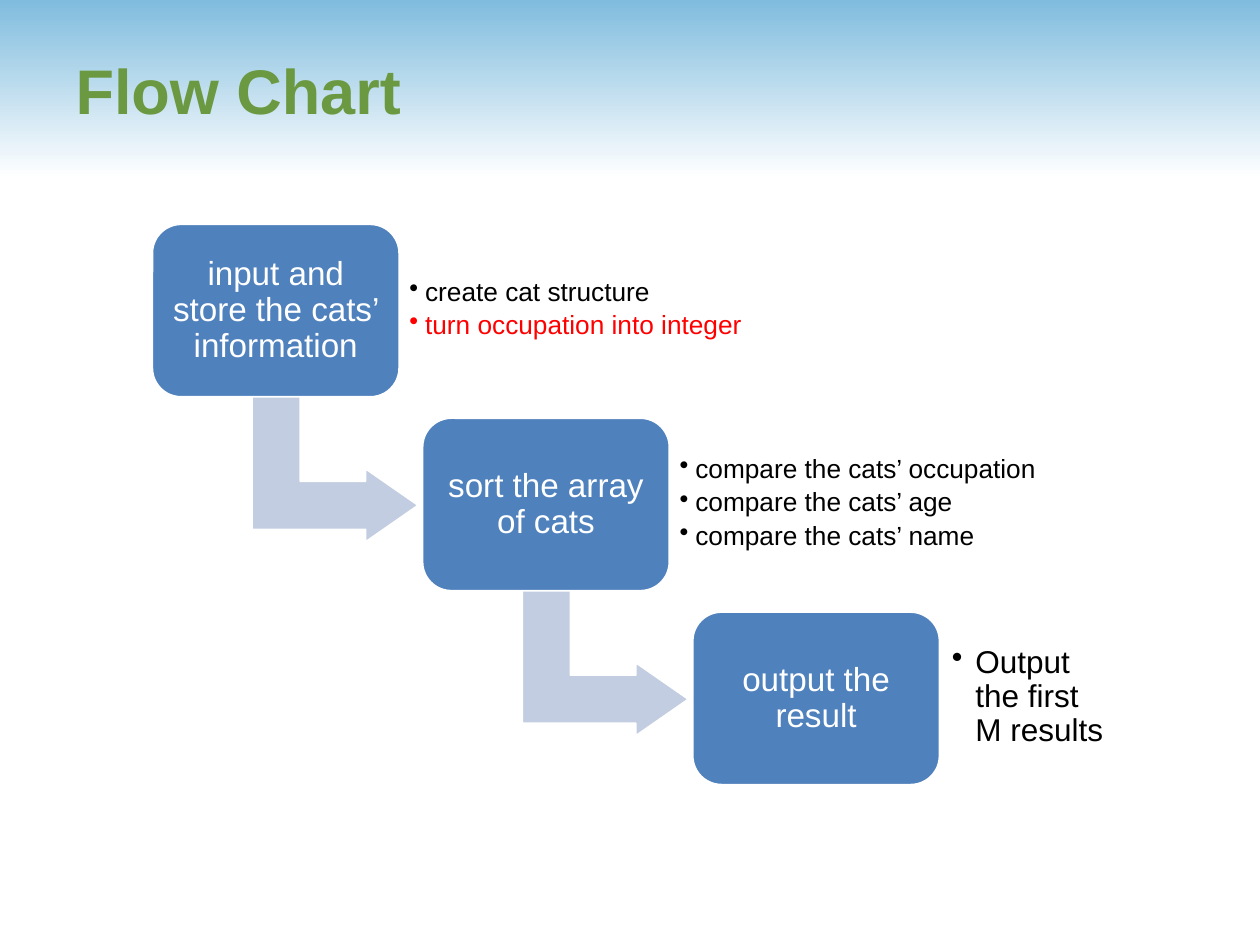
from lxml import etree
from pptx import Presentation
from pptx.dml.color import RGBColor
from pptx.enum.shapes import MSO_SHAPE
from pptx.enum.text import MSO_ANCHOR, PP_ALIGN
from pptx.oxml.ns import qn
from pptx.util import Pt

RECTANGLE = MSO_SHAPE.RECTANGLE
ROUNDED = MSO_SHAPE.ROUNDED_RECTANGLE
BENT_ARROW = MSO_SHAPE.BENT_UP_ARROW
MIDDLE = MSO_ANCHOR.MIDDLE
LEFT, CENTER = PP_ALIGN.LEFT, PP_ALIGN.CENTER

SKY = RGBColor(0x80, 0xBC, 0xDE)
WHITE = RGBColor(0xFF, 0xFF, 0xFF)
BLACK = RGBColor(0x00, 0x00, 0x00)
RED = RGBColor(0xFF, 0x00, 0x00)
GREEN = RGBColor(0x6B, 0x99, 0x41)
BLUE = RGBColor(0x4F, 0x81, 0xBD)
PALE_BLUE = RGBColor(0xC2, 0xCD, 0xE1)

# Staircase geometry in points
FIRST_LEFT, FIRST_TOP = 87.1, 128.2
STEP_X, STEP_Y = 154.4, 110.8
STEP_W, STEP_H = 141, 98.6
ARROW_DX, ARROW_DY, ARROW_W, ARROW_H = 62.6, 92.2, 83.5, 95
DETAIL_DY, DETAIL_H = 8.7, 80

# Step label, details with colours, width, size, inset and indent of the details
STEPS = [
    ("input and store the cats’ information",
     [("create cat structure", BLACK), ("turn occupation into integer", RED)],
     259, 15, 5.8, 9),
    ("sort the array of cats",
     [("compare the cats’ occupation", BLACK), ("compare the cats’ age", BLACK),
      ("compare the cats’ name", BLACK)],
     250.5, 15, 5.8, 9),
    ("output the result", [("Output the first M results", BLACK)],
     102.2, 18, 7, 13.5),
]


class SlideBuilder:
    font_name = "Arial"
    line_spacing = 0.9

    def __init__(self, slide):
        self.slide = slide

    def style(self, paragraph, size, color, align, bold=False):
        paragraph.alignment = align
        paragraph.font.name = self.font_name
        paragraph.font.size = Pt(size)
        paragraph.font.bold = bold
        paragraph.font.color.rgb = color

    def frame(self, shape, inset):
        frame = shape.text_frame
        frame.word_wrap = True
        frame.vertical_anchor = MIDDLE
        frame.margin_left = frame.margin_right = Pt(inset)
        frame.margin_top = frame.margin_bottom = Pt(inset)
        return frame

    def shape(self, kind, left, top, width, height, fill):
        shape = self.slide.shapes.add_shape(
            kind, Pt(left), Pt(top), Pt(width), Pt(height))
        shape.shadow.inherit = False
        shape.fill.solid()
        shape.fill.fore_color.rgb = fill
        shape.line.color.rgb = WHITE
        shape.line.width = Pt(1)
        return shape

    def header_band(self, width, height):
        band = self.shape(RECTANGLE, 0, 0, width, height, SKY)
        band.line.fill.background()
        band.fill.gradient()
        band.fill.gradient_angle = 270
        for stop, color in zip(band.fill.gradient_stops, (SKY, WHITE)):
            stop.color.rgb = color
        # Send the band behind the title
        self.slide.shapes._spTree.insert(2, band._element)

    def title(self, text, left, top, width, height):
        title = self.slide.shapes.title
        title.left, title.top = Pt(left), Pt(top)
        title.width, title.height = Pt(width), Pt(height)
        title.text_frame.text = text
        title.text_frame.vertical_anchor = MIDDLE
        self.style(title.text_frame.paragraphs[0], 36, GREEN, LEFT, bold=True)

    def step(self, label, left, top):
        box = self.shape(ROUNDED, left, top, STEP_W, STEP_H, BLUE)
        paragraph = self.frame(box, 5.8).paragraphs[0]
        paragraph.text = label
        paragraph.line_spacing = self.line_spacing
        self.style(paragraph, 19, WHITE, CENTER)

    def arrow(self, left, top):
        arrow = self.shape(BENT_ARROW, left, top, ARROW_W, ARROW_H, PALE_BLUE)
        arrow.rotation = 90
        for index, value in enumerate((0.33, 0.25, 0.36)):
            arrow.adjustments[index] = value

    def bullets(self, items, left, top, width, size, inset, indent):
        box = self.slide.shapes.add_textbox(
            Pt(left), Pt(top), Pt(width), Pt(DETAIL_H))
        frame = self.frame(box, inset)
        for index, (text, color) in enumerate(items):
            paragraph = frame.add_paragraph() if index else frame.paragraphs[0]
            paragraph.text = text
            paragraph.line_spacing = self.line_spacing
            if index:
                paragraph.space_before = Pt(2.8)
            properties = paragraph._p.get_or_add_pPr()
            properties.set("marL", str(Pt(indent)))
            properties.set("indent", str(-Pt(indent)))
            etree.SubElement(properties, qn("a:buChar")).set("char", "•")
            self.style(paragraph, size, color, LEFT)


def main():
    deck = Presentation()
    deck.slide_width, deck.slide_height = Pt(720), Pt(540)
    builder = SlideBuilder(deck.slides.add_slide(deck.slide_layouts[5]))

    # Header
    builder.header_band(720, 102.2)
    builder.title("Flow Chart", 36, 5.8, 653.8, 90)

    # Steps descending to the right, joined by arrows
    for index, (label, details, width, size, inset, indent) in enumerate(STEPS):
        left = FIRST_LEFT + index * STEP_X
        top = FIRST_TOP + index * STEP_Y
        if index < len(STEPS) - 1:
            builder.arrow(left + ARROW_DX, top + ARROW_DY)
        builder.step(label, left, top)
        builder.bullets(details, left + STEP_W, top + DETAIL_DY,
                        width, size, inset, indent)

    deck.save("out.pptx")


if __name__ == "__main__":
    main()
